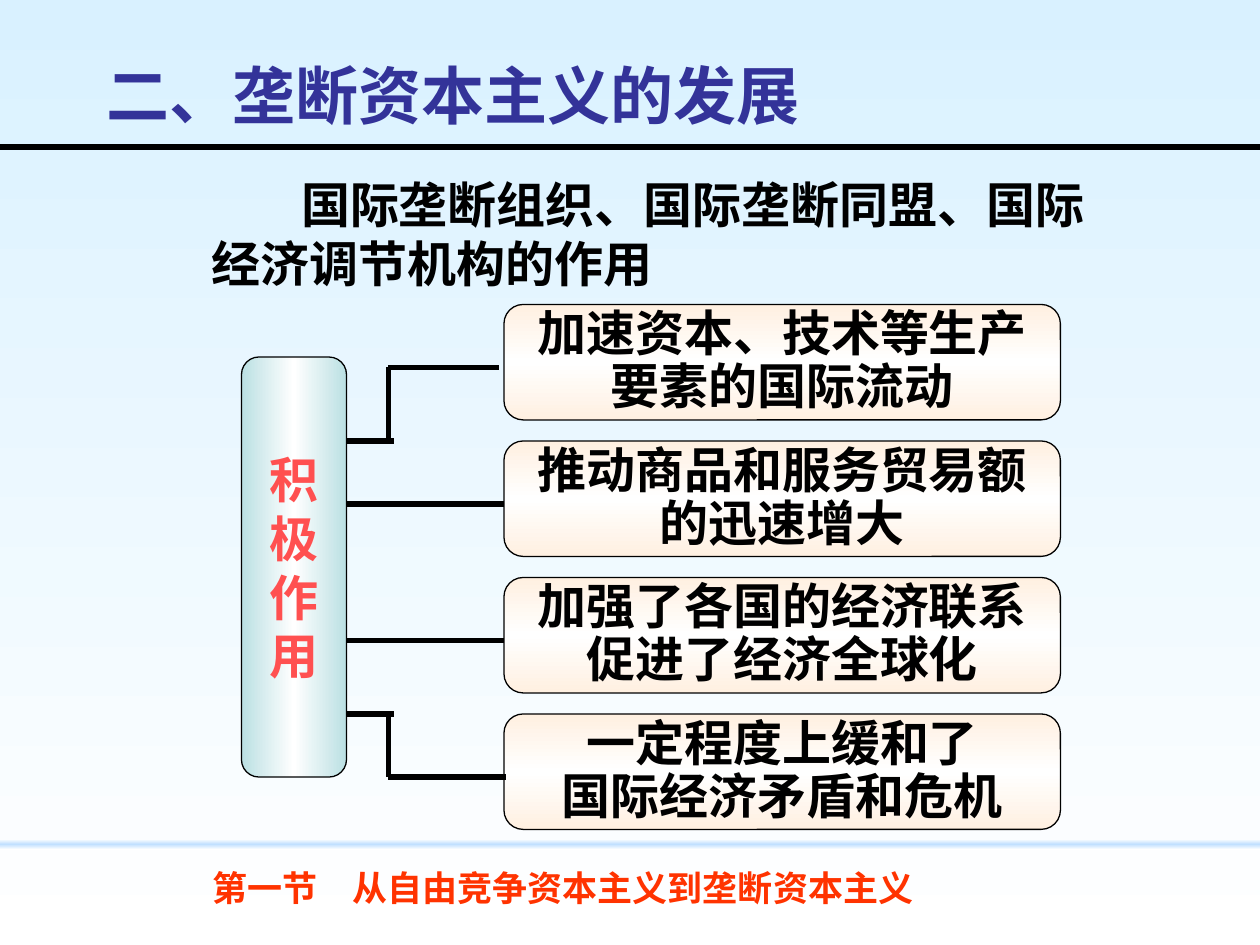
from copy import deepcopy
from dataclasses import dataclass

from pptx import Presentation
from pptx.dml.color import RGBColor
from pptx.enum.shapes import MSO_CONNECTOR as CONN, MSO_SHAPE as SHAPE
from pptx.enum.text import MSO_ANCHOR as ANCHOR, MSO_AUTO_SIZE as FIT, PP_ALIGN as ALIGN
from pptx.oxml.ns import qn
from pptx.util import Pt


@dataclass(frozen=True)
class Theme:
    font: str = "Arial"
    ink: str = "000000"
    heading: str = "333399"
    section: str = "FF3300"
    accent: str = "FF5050"
    white: str = "FFFFFF"
    sky: str = "D9F1FF"
    band: str = "C1E0FF"
    teal: str = "BBE0E3"
    cream: str = "FFF0E1"
    heading_size: int = 36
    body_size: int = 28
    section_size: int = 20
    outline: float = 0.75
    rule: int = 3


T = Theme()
DOWN, ACROSS = 270, 0

EFFECTS = [
    "加速资本、技术等生产\n要素的国际流动",
    "推动商品和服务贸易额\n的迅速增大",
    "加强了各国的经济联系\n促进了经济全球化",
    "一定程度上缓和了\n国际经济矛盾和危机",
]
BOX_X, BOX_Y, BOX_W, BOX_H, BOX_STEP = 288, 174, 318, 66, 78.5
CAUSE_X, CAUSE_Y, CAUSE_W, CAUSE_H = 138, 204, 60, 240


def place(shape, x, y, w, h):
    shape.left, shape.top, shape.width, shape.height = Pt(x), Pt(y), Pt(w), Pt(h)


def write(tf, text, size, color, align=ALIGN.LEFT, anchor=ANCHOR.MIDDLE,
          spacing=None, wrap=True):
    tf.text = text
    tf.word_wrap = wrap
    tf.auto_size = FIT.NONE
    tf.vertical_anchor = anchor
    for p in tf.paragraphs:
        p.alignment = align
        p.line_spacing = spacing
        for r in p.runs:
            r.font.name, r.font.size, r.font.bold = T.font, Pt(size), True
            r.font.color.rgb = RGBColor.from_string(color)


def set_stops(fill, colors, angle):
    fill.gradient_angle = angle
    for i, (stop, color) in enumerate(zip(fill.gradient_stops, colors)):
        stop.position = i / (len(colors) - 1)
        stop.color.rgb = RGBColor.from_string(color)


def add_panel(s, kind, x, y, w, h, colors, angle, outlined=True):
    """Preset shape with a three-stop gradient."""
    sp = s.shapes.add_shape(kind, Pt(x), Pt(y), Pt(w), Pt(h))
    sp.shadow.inherit = False
    sp.fill.gradient()
    stops = sp._element.spPr.find(".//" + qn("a:gsLst"))
    stops.append(deepcopy(stops[0]))
    set_stops(sp.fill, colors, angle)
    if outlined:
        sp.line.color.rgb = RGBColor.from_string(T.ink)
        sp.line.width = Pt(T.outline)
    else:
        sp.line.fill.background()
    return sp


def add_text(s, x, y, w, h, *args, **kwargs):
    tf = s.shapes.add_textbox(Pt(x), Pt(y), Pt(w), Pt(h)).text_frame
    write(tf, *args, **kwargs)
    return tf


def add_path(s, *points):
    """Straight rules joining successive points."""
    for (x1, y1), (x2, y2) in zip(points, points[1:]):
        line = s.shapes.add_connector(CONN.STRAIGHT, Pt(x1), Pt(y1), Pt(x2), Pt(y2))
        line.line.color.rgb = RGBColor.from_string(T.ink)
        line.line.width = Pt(T.rule)
        sp_pr = line._element.spPr
        sp_pr.append(sp_pr.makeelement(qn("a:effectLst"), {}))


def add_effects(s):
    for i, text in enumerate(EFFECTS):
        sp = add_panel(s, SHAPE.ROUNDED_RECTANGLE, BOX_X, BOX_Y + i * 78, BOX_W, BOX_H,
                       (T.cream, T.white, T.cream), DOWN)
        write(sp.text_frame, text, T.body_size, T.ink, ALIGN.CENTER,
              spacing=0.9, wrap=False)


def add_cause(s):
    sp = add_panel(s, SHAPE.ROUNDED_RECTANGLE, CAUSE_X, CAUSE_Y, CAUSE_W, CAUSE_H,
                   (T.teal, T.white, T.teal), ACROSS)
    write(sp.text_frame, "\n".join("积极作用"), T.body_size, T.accent,
          ALIGN.CENTER, wrap=False)


def add_branches(s):
    start, bend, end = CAUSE_X + CAUSE_W, 222, BOX_X
    # Stepped branches to the outer boxes, with a short overhang at the bend
    for y_from, y_to, x_end in ((252, 210, end - 3), (408, 444, end + 1)):
        add_path(s, (start, y_from), (bend + 3, y_from))
        add_path(s, (bend, y_from), (bend, y_to), (x_end, y_to))
    # Straight branches to the inner boxes
    for y in (288, 366):
        add_path(s, (start, y), (end, y))


def main():
    prs = Presentation()
    prs.slide_width, prs.slide_height = Pt(720), Pt(540)
    s = prs.slides.add_slide(prs.slide_layouts[5])

    # Background and section band
    s.background.fill.gradient()
    set_stops(s.background.fill, (T.sky, T.white), DOWN)
    add_panel(s, SHAPE.RECTANGLE, 0, 479.5, 720, 6,
              (T.white, T.band, T.white), DOWN, outlined=False)

    # Section name at the foot
    title = s.shapes.title
    place(title, 114, 492, 646.5, 30)
    write(title.text_frame, "第一节　从自由竞争资本主义到垄断资本主义",
          T.section_size, T.section)

    # Heading and its rule
    add_text(s, 54, 24, 612, 60, "二、垄断资本主义的发展", T.heading_size, T.heading)
    add_path(s, (0, 84), (720, 84))

    # Lead sentence
    tf = add_text(s, 114, 96, 516, 75,
                  "国际垄断组织、国际垄断同盟、国际经济调节机构的作用",
                  T.body_size, T.ink, anchor=ANCHOR.TOP)
    tf.auto_size = FIT.SHAPE_TO_FIT_TEXT
    tf.paragraphs[0]._p.get_or_add_pPr().set("indent", str(Pt(51)))

    # Cause and its effects
    add_cause(s)
    add_effects(s)
    add_branches(s)

    prs.save("out.pptx")


if __name__ == "__main__":
    main()
